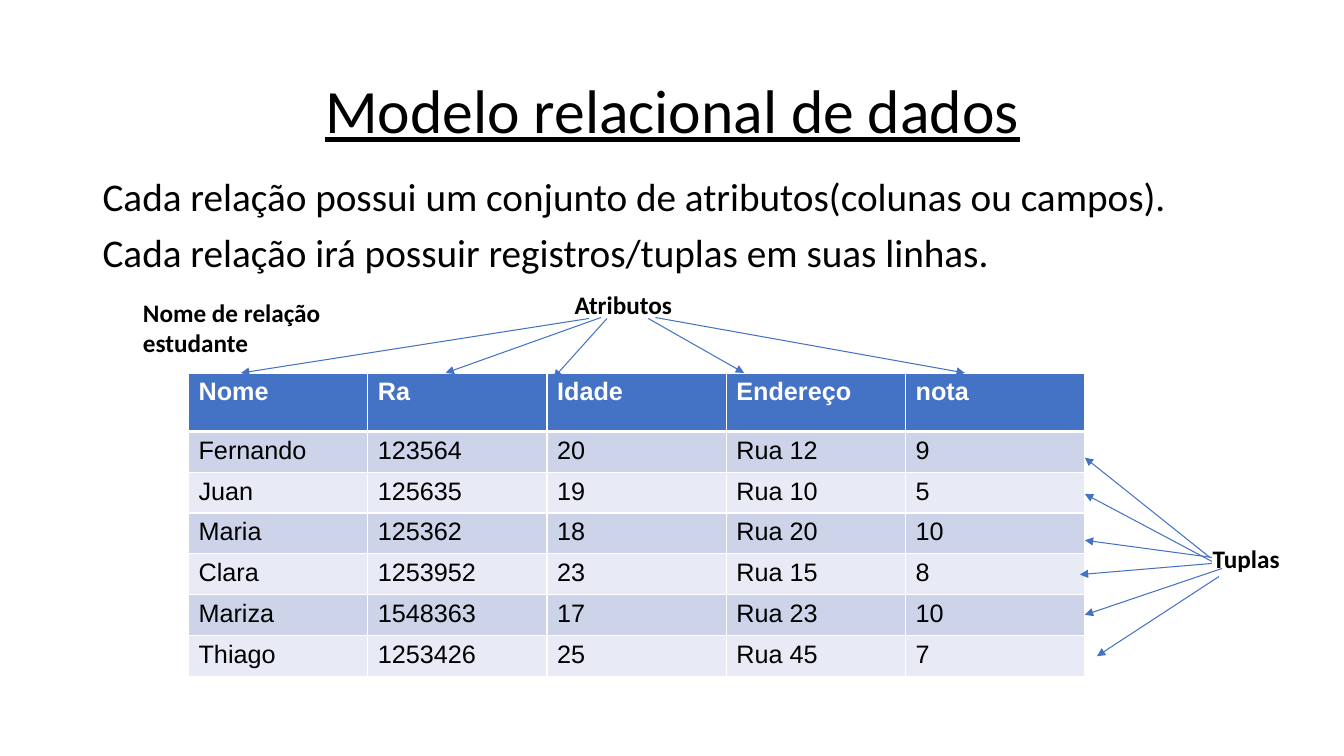
"""Build the slide on the relational data model."""
from lxml.etree import SubElement
from pptx import Presentation
from pptx.dml.color import RGBColor
from pptx.enum.shapes import MSO_CONNECTOR
from pptx.enum.text import MSO_ANCHOR, PP_ALIGN
from pptx.oxml import parse_xml
from pptx.oxml.ns import nsdecls, qn
from pptx.util import Inches, Pt

COLORS = {
    "text": "000000",
    "white": "FFFFFF",
    "blue": "4472C4",
    "odd_row": "CDD4EA",
    "even_row": "E8EBF5",
}


def write(frame, text, size=18, font="Calibri", color="text", bold=False,
          underline=False, align=PP_ALIGN.LEFT, anchor=MSO_ANCHOR.TOP,
          line_spacing=1.0, space_before=0):
    """Fill a text frame, one paragraph per line of text."""
    frame.word_wrap = True
    frame.vertical_anchor = anchor
    frame.text = text
    for index, paragraph in enumerate(frame.paragraphs):
        paragraph.alignment = align
        paragraph.line_spacing = line_spacing
        paragraph.space_before = Pt(space_before if index else 0)
        for run in paragraph.runs:
            run.font.name = font
            run.font.size = Pt(size)
            run.font.bold = bold
            run.font.underline = underline
            run.font.color.rgb = RGBColor.from_string(COLORS[color])


prs = Presentation()
prs.slide_width, prs.slide_height = Inches(13.33), Inches(7.5)
slide = prs.slides.add_slide(prs.slide_layouts[5])

title = slide.shapes.title
title.left, title.top = Inches(0.92), Inches(0.4)
title.width, title.height = Inches(11.5), Inches(1.45)
write(title.text_frame, "Modelo relacional de dados", size=44, underline=True,
      align=PP_ALIGN.CENTER, anchor=MSO_ANCHOR.MIDDLE, line_spacing=0.9)

explanation = slide.shapes.add_textbox(Inches(0.92), Inches(1.71), Inches(11.5), Inches(1.15))
write(explanation.text_frame,
      "Cada relação possui um conjunto de atributos(colunas ou campos).\n"
      "Cada relação irá possuir registros/tuplas em suas linhas.",
      size=28, line_spacing=0.9, space_before=10)

students = [
    ("Nome", "Ra", "Idade", "Endereço", "nota"),
    ("Fernando", "123564", "20", "Rua 12", "9"),
    ("Juan", "125635", "19", "Rua 10", "5"),
    ("Maria", "125362", "18", "Rua 20", "10"),
    ("Clara", "1253952", "23", "Rua 15", "8"),
    ("Mariza", "1548363", "17", "Rua 23", "10"),
    ("Thiago", "1253426", "25", "Rua 45", "7"),
]
relation = slide.shapes.add_table(len(students), len(students[0]), Inches(1.87), Inches(3.7),
                                  Inches(8.89), Inches(3.01)).table
header_height = Inches(0.58)
for row_index, student in enumerate(students):
    is_header = row_index == 0
    relation.rows[row_index].height = (
        header_height if is_header else (Inches(3.01) - header_height) // (len(students) - 1))
    fill = "blue" if is_header else "odd_row" if row_index % 2 else "even_row"
    border_widths = {"L": 1, "R": 1, "T": 3 if row_index == 1 else 1, "B": 3 if is_header else 1}
    for column_index, value in enumerate(student):
        cell = relation.cell(row_index, column_index)
        write(cell.text_frame, value, font="Arial", bold=is_header,
              color="white" if is_header else "text")
        cell.fill.solid()
        cell.fill.fore_color.rgb = RGBColor.from_string(COLORS[fill])
        for position, (side, width) in enumerate(border_widths.items()):
            cell._tc.get_or_add_tcPr().insert(position, parse_xml(
                f'<a:ln{side} {nsdecls("a")} w="{Pt(width)}"><a:solidFill>'
                f'<a:srgbClr val="{COLORS["white"]}"/></a:solidFill></a:ln{side}>'))

labels = [
    ("Nome de relação estudante", 1.32, 2.9, 2.13, 0.71),
    ("Atributos", 5.6, 2.82, 2.13, 0.4),
    ("Tuplas", 11.93, 5.34, 0.97, 0.4),
]
for label, *box in labels:
    caption = slide.shapes.add_textbox(*map(Inches, box))
    write(caption.text_frame, label, bold=True)

attribute_arrows = [
    (5.84, 3.16, 2.39, 3.7),
    (5.96, 3.15, 4.42, 3.7),
    (6.02, 3.16, 5.49, 3.75),
    (6.43, 3.16, 7.38, 3.7),
    (6.5, 3.15, 9.57, 3.7),
]
tuple_arrows = [
    (12, 5.53, 10.76, 4.54),
    (12.02, 5.57, 10.76, 4.9),
    (12.02, 5.53, 10.76, 5.36),
    (12.02, 5.59, 10.71, 5.7),
    (12.12, 5.64, 10.76, 6.1),
    (12.09, 5.72, 10.88, 6.51),
]
for ends in attribute_arrows + tuple_arrows:
    arrow = slide.shapes.add_connector(MSO_CONNECTOR.STRAIGHT, *map(Inches, ends))
    arrow.line.color.rgb = RGBColor.from_string(COLORS["blue"])
    arrow.line.width = Pt(0.75)
    SubElement(arrow.line._get_or_add_ln(), qn("a:tailEnd"), type="triangle")
    SubElement(arrow._element.spPr, qn("a:effectLst"))

prs.save("out.pptx")
